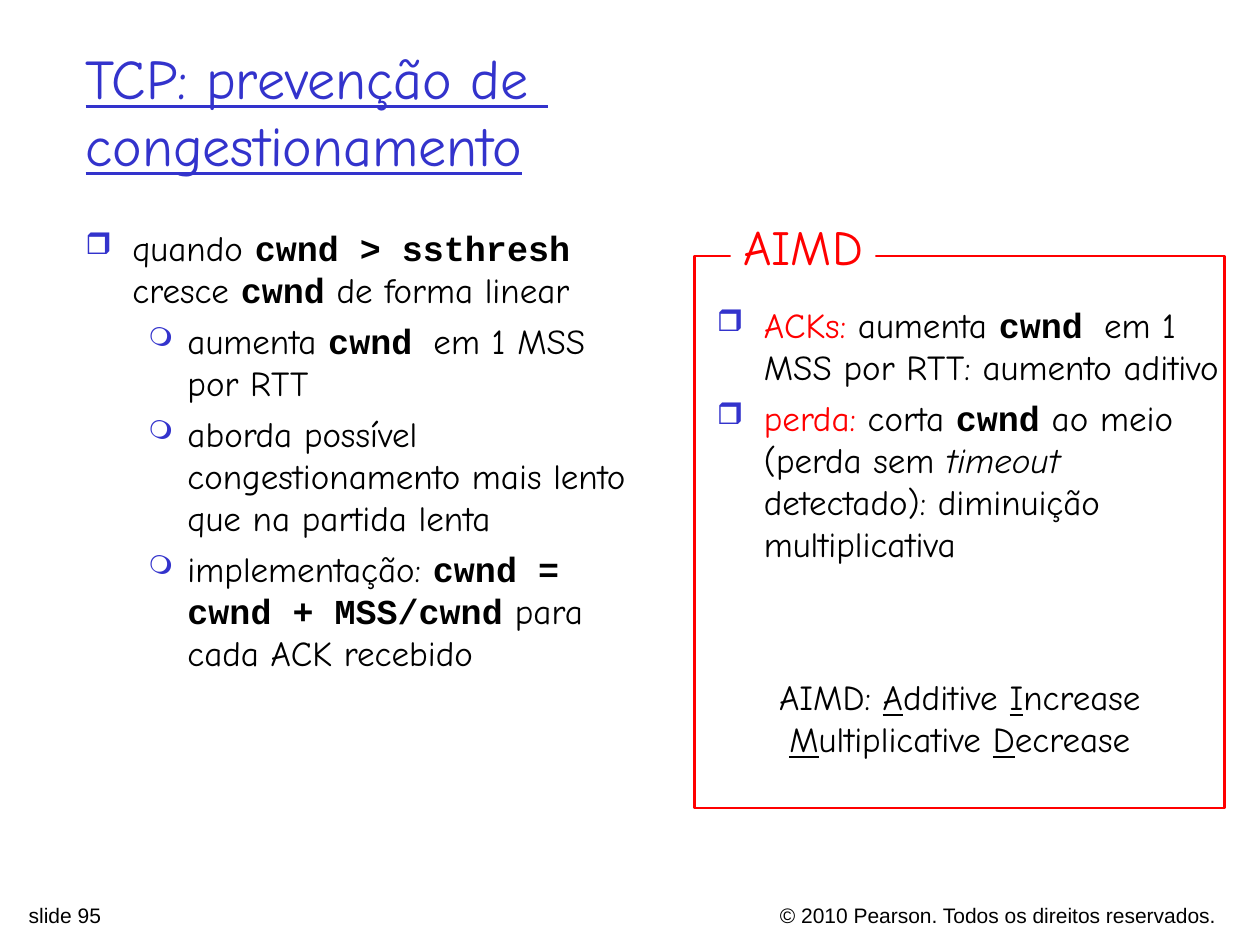
from dataclasses import dataclass

from lxml import etree
from pptx import Presentation
from pptx import util as u
from pptx.dml.color import RGBColor
from pptx.enum import shapes, text
from pptx.oxml.ns import qn


@dataclass(frozen=True)
class Theme:
    body_font: str = "Comic Neue"
    code_font: str = "Courier New"
    footer_font: str = "Arial"
    ink: str = "000000"
    blue: str = "3333CC"
    red: str = "FF0000"
    paper: str = "FFFFFF"
    title_size: int = 32
    label_size: int = 28
    body_size: int = 20
    footer_size: int = 12
    # Per level: bullet sign, bullet size in percent, left indent, hanging indent
    bullets: tuple = (("❒", 85, 0.95, 0.95), ("❍", 75, 2.06, 0.79))


class SlideBuilder:
    def __init__(self, slide, theme):
        self.slide = slide
        self.theme = theme

    def set_font(self, font, size, color, name=None):
        font.name = name or self.theme.body_font
        font.size = u.Pt(size)
        font.color.rgb = RGBColor.from_string(color)

    def add_runs(self, paragraph, runs):
        """Add plain strings or (text, style) pairs."""
        for item in runs:
            content, style = (item, None) if isinstance(item, str) else item
            run = paragraph.add_run()
            run.text = content
            if style == "code":
                run.font.name = self.theme.code_font
                run.font.bold = True
            elif style == "key":
                run.font.color.rgb = RGBColor.from_string(self.theme.red)
            elif style == "italic":
                run.font.italic = True
            elif style == "underline":
                run.font.underline = True

    def set_bullet(self, paragraph, level):
        sign, percent, left, hanging = self.theme.bullets[level]
        paragraph.level = level
        properties = paragraph._p.get_or_add_pPr()
        properties.set("marL", str(u.Cm(left)))
        properties.set("indent", str(-u.Cm(hanging)))
        color = etree.SubElement(properties, qn("a:buClr"))
        etree.SubElement(color, qn("a:srgbClr"), val=self.theme.blue)
        etree.SubElement(properties, qn("a:buSzPct"), val=str(percent * 1000))
        etree.SubElement(properties, qn("a:buChar"), char=sign)

    def title(self, content, left, top, width, height):
        shape = self.slide.shapes.title
        shape.left, shape.top = u.Cm(left), u.Cm(top)
        shape.width, shape.height = u.Cm(width), u.Cm(height)
        frame = shape.text_frame
        frame.auto_size = text.MSO_AUTO_SIZE.NONE
        frame.vertical_anchor = text.MSO_ANCHOR.MIDDLE
        paragraph = frame.paragraphs[0]
        paragraph.text = content
        paragraph.alignment = text.PP_ALIGN.LEFT
        self.set_font(paragraph.font, self.theme.title_size, self.theme.blue)
        paragraph.font.underline = True

    def text_box(self, lines, left, top, width, height, size=None, name=None,
                 align=text.PP_ALIGN.LEFT, wrap=True):
        shape = self.slide.shapes.add_textbox(
            u.Cm(left), u.Cm(top), u.Cm(width), u.Cm(height))
        frame = shape.text_frame
        frame.word_wrap = wrap
        for index, runs in enumerate(lines):
            paragraph = frame.paragraphs[0] if index == 0 else frame.add_paragraph()
            paragraph.alignment = align
            self.set_font(paragraph.font, size or self.theme.body_size,
                          self.theme.ink, name)
            self.add_runs(paragraph, runs)
        return shape

    def bullet_list(self, items, left, top, width, height):
        """Items are (level, runs) pairs."""
        shape = self.text_box([runs for _, runs in items], left, top, width, height)
        for index, (level, _) in enumerate(items):
            paragraph = shape.text_frame.paragraphs[index]
            # Bullet elements must come before the font defaults
            properties = paragraph._p.get_or_add_pPr()
            defaults = properties.find(qn("a:defRPr"))
            self.set_bullet(paragraph, level)
            properties.append(defaults)
            if index:
                paragraph.space_before = u.Pt(5)

    def rectangle(self, left, top, width, height, fill=None, line=None):
        shape = self.slide.shapes.add_shape(
            shapes.MSO_SHAPE.RECTANGLE,
            u.Cm(left), u.Cm(top), u.Cm(width), u.Cm(height))
        shape.shadow.inherit = False
        if fill:
            shape.fill.solid()
            shape.fill.fore_color.rgb = RGBColor.from_string(fill)
        else:
            shape.fill.background()
        if line:
            shape.line.color.rgb = RGBColor.from_string(line)
            shape.line.width = u.Pt(1.5)
        else:
            shape.line.fill.background()
        return shape

    def frame_label(self, content, left, top, width, height):
        shape = self.rectangle(left, top, width, height, fill=self.theme.paper)
        shape.text_frame.word_wrap = False
        paragraph = shape.text_frame.paragraphs[0]
        paragraph.text = content
        paragraph.alignment = text.PP_ALIGN.CENTER
        self.set_font(paragraph.font, self.theme.label_size, self.theme.red)

    def footer(self, content, left, width, align):
        self.text_box([[content]], left, 18.06, width, 0.6,
                      self.theme.footer_size, self.theme.footer_font, align)


def main():
    presentation = Presentation()
    presentation.slide_width, presentation.slide_height = u.Cm(25.4), u.Cm(19.05)
    slide = presentation.slides.add_slide(presentation.slide_layouts[5])
    builder = SlideBuilder(slide, Theme())

    # Footer
    builder.footer("© 2010 Pearson. Todos os direitos reservados.",
                   11.79, 12.98, text.PP_ALIGN.RIGHT)
    builder.footer("slide 95", 0.33, 8.94, text.PP_ALIGN.LEFT)

    # Title
    builder.title("TCP: prevenção de \vcongestionamento", 1.47, 0.64, 22.99, 3.18)

    # Growth of the congestion window
    builder.bullet_list([
        (0, ["quando ", ("cwnd > ssthresh", "code"), " cresce ",
             ("cwnd", "code"), " de forma linear"]),
        (1, ["aumenta ", ("cwnd ", "code"), "em 1 MSS por RTT"]),
        (1, ["aborda possível congestionamento mais lento que na partida lenta"]),
        (1, ["implementação: ", ("cwnd = cwnd + MSS/cwnd", "code"),
             " para cada ACK recebido"]),
    ], 1.47, 4.45, 11.56, 11.66)

    # AIMD rules
    builder.bullet_list([
        (0, [("ACKs:", "key"), " aumenta ", ("cwnd ", "code"),
             "em 1 MSS por RTT: aumento aditivo"]),
        (0, [("perda:", "key"), " corta ", ("cwnd", "code"),
             " ao meio (perda sem ", ("timeout", "italic"),
             " detectado): diminuição multiplicativa"]),
    ], 14.2, 5.99, 10.67, 8.18)

    # Red frame with its label
    builder.rectangle(14, 5.16, 10.69, 11.13, line=builder.theme.red)
    builder.frame_label("AIMD", 14.73, 4.24, 2.92, 1.45)

    # Meaning of the acronym
    builder.text_box([
        ["AIMD: ", ("A", "underline"), "dditive ", ("I", "underline"), "ncrease"],
        [("M", "underline"), "ultiplicative ", ("D", "underline"), "ecrease"],
    ], 15.44, 13.49, 7.82, 1.96, align=text.PP_ALIGN.CENTER, wrap=False)

    presentation.save("out.pptx")


if __name__ == "__main__":
    main()
